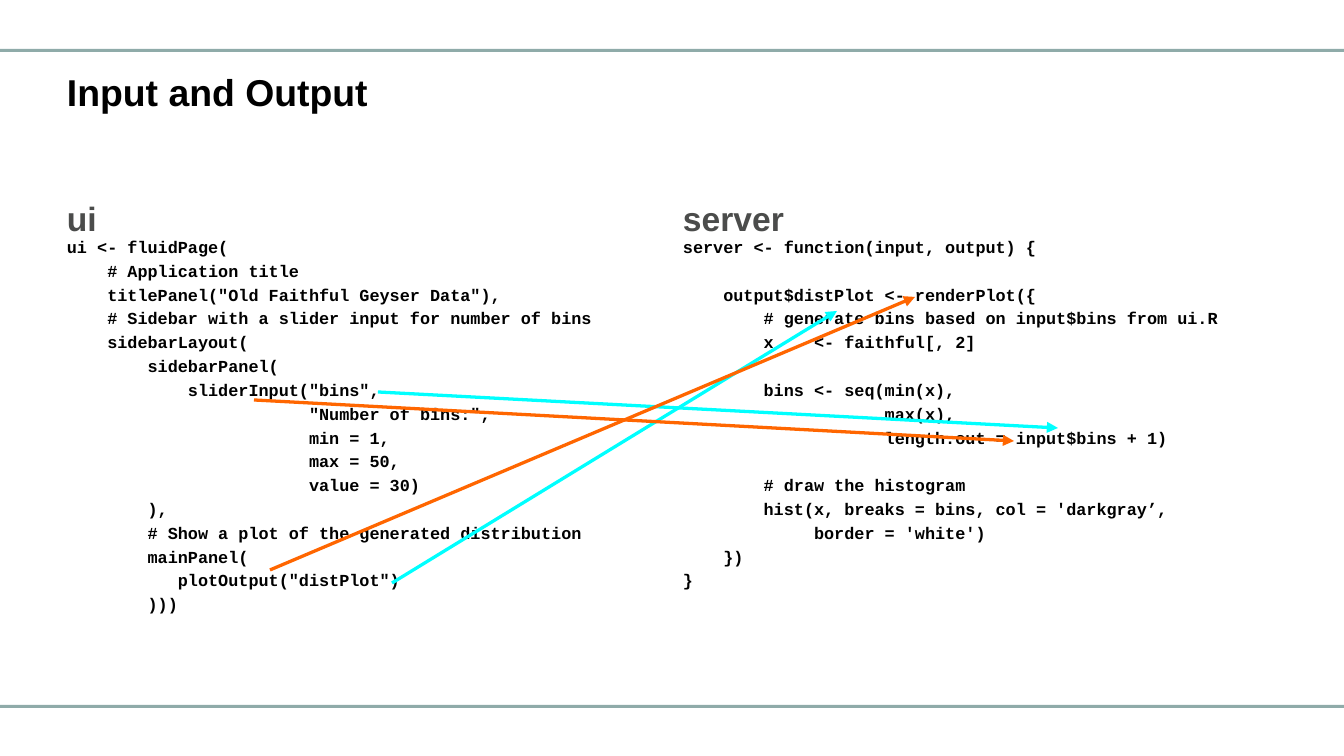
from lxml import etree
from pptx import Presentation
from pptx.dml.color import RGBColor
from pptx.enum.shapes import MSO_CONNECTOR, MSO_SHAPE
from pptx.enum.text import MSO_ANCHOR
from pptx.oxml.ns import qn
from pptx.util import Emu, Pt

RECTANGLE = MSO_SHAPE.RECTANGLE
STRAIGHT = MSO_CONNECTOR.STRAIGHT
TOP, BOTTOM = MSO_ANCHOR.TOP, MSO_ANCHOR.BOTTOM

SLIDE_W, SLIDE_H = 1344, 756
EMU_PER_PX = 9144000 / SLIDE_W
COLORS = {"rule": "8FABA9", "text": "000000", "heading": "4B4C4B",
          "cyan": "00FFFF", "orange": "FF6600"}
LINE_SPACING = 0.9
AFTER_PT = 3
BLANK_LINE_PT = 12.75  # height of one empty code line

UI_CODE = """ui <- fluidPage(
    # Application title
    titlePanel("Old Faithful Geyser Data"),
    # Sidebar with a slider input for number of bins
    sidebarLayout(
        sidebarPanel(
            sliderInput("bins",
                        "Number of bins:",
                        min = 1,
                        max = 50,
                        value = 30)
        ),
        # Show a plot of the generated distribution
        mainPanel(
           plotOutput("distPlot")
        )))"""

SERVER_CODE = """server <- function(input, output) {

    output$distPlot <- renderPlot({
        # generate bins based on input$bins from ui.R
        x    <- faithful[, 2]

        bins <- seq(min(x),
                    max(x),
                    length.out = input$bins + 1)

        # draw the histogram
        hist(x, breaks = bins, col = 'darkgray’,
             border = 'white')
    })
}"""


def px(value):
    return Emu(round(value * EMU_PER_PX))


def add_text(box, text, font, size, color, anchor=TOP, inset_top=0):
    frame = slide.shapes.add_textbox(*map(px, box)).text_frame
    frame.word_wrap = True
    frame.vertical_anchor = anchor
    frame.margin_left = frame.margin_right = frame.margin_bottom = 0
    frame.margin_top = px(inset_top)
    # An empty line becomes space before the line that follows it
    blocks = [block.split("\n") for block in text.split("\n\n")]
    frame.text = "\n".join(line for block in blocks for line in block)
    block_starts = set()
    count = 0
    for block in blocks[:-1]:
        count += len(block)
        block_starts.add(count)
    for number, paragraph in enumerate(frame.paragraphs):
        paragraph.line_spacing = LINE_SPACING
        paragraph.space_before = Pt(BLANK_LINE_PT if number in block_starts else 0)
        paragraph.space_after = Pt(AFTER_PT)
        for run in paragraph.runs:
            run.font.name = font
            run.font.size = Pt(size)
            run.font.bold = True
            run.font.color.rgb = RGBColor.from_string(COLORS[color])


prs = Presentation()
prs.slide_width, prs.slide_height = px(SLIDE_W), px(SLIDE_H)
slide = prs.slides.add_slide(prs.slide_layouts[6])

# Rules at the top and bottom
for rule_top in (49, 705):
    rule = slide.shapes.add_shape(RECTANGLE, 0, px(rule_top), px(SLIDE_W), px(3))
    rule.shadow.inherit = False
    rule.fill.solid()
    rule.fill.fore_color.rgb = RGBColor.from_string(COLORS["rule"])
    rule.line.fill.background()

# Title
add_text((67, 31, 1210, 126), "Input and Output", "Arial", 20, "text", inset_top=47)

# Code columns with their headings
for left, heading, code in ((67, "ui", UI_CODE), (683, "server", SERVER_CODE)):
    add_text((left, 169, 594, 70), heading, "Arial", 18, "heading", anchor=BOTTOM)
    add_text((left, 239, 594, 435), code, "Courier New", 9, "text")

# Arrows from the ui elements to their use in the server
for color, start_x, start_y, end_x, end_y in (
    ("cyan", 378, 392, 1058, 428),
    ("cyan", 392, 583, 837, 311),
    ("orange", 270, 570, 915, 297),
    ("orange", 254, 400, 1014, 441),
):
    arrow = slide.shapes.add_connector(
        STRAIGHT, px(start_x), px(start_y), px(end_x), px(end_y))
    arrow.line.color.rgb = RGBColor.from_string(COLORS[color])
    arrow.line.width = Pt(1.75)
    etree.SubElement(arrow.line._get_or_add_ln(), qn("a:tailEnd"), type="triangle")
    etree.SubElement(arrow._element.spPr, qn("a:effectLst"))

prs.save("out.pptx")
